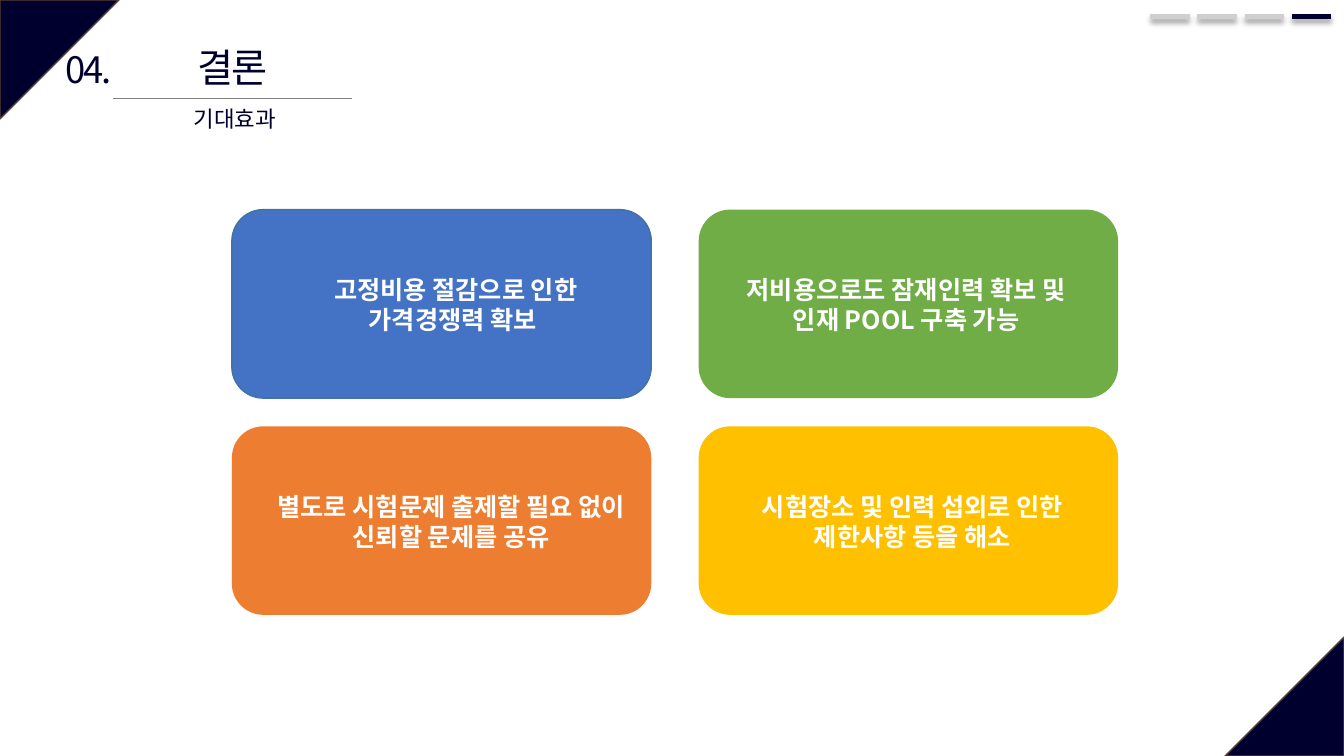
from dataclasses import dataclass

from lxml import etree
from pptx import Presentation
from pptx.dml.color import RGBColor
from pptx.enum.shapes import MSO_CONNECTOR, MSO_SHAPE
from pptx.enum.text import MSO_AUTO_SIZE, PP_ALIGN
from pptx.oxml.ns import qn
from pptx.util import Inches, Pt

TRIANGLE = MSO_SHAPE.ISOSCELES_TRIANGLE
ROUND_RECT = MSO_SHAPE.ROUNDED_RECTANGLE
STRAIGHT = MSO_CONNECTOR.STRAIGHT
CENTER = PP_ALIGN.CENTER
FIT_SHAPE = MSO_AUTO_SIZE.SHAPE_TO_FIT_TEXT


@dataclass(frozen=True)
class Theme:
    font: str = "Noto Sans CJK KR"
    navy: str = "00002F"
    corner_edge: str = "5B3F33"
    rule: str = "808080"
    idle: str = "D0CECE"
    white: str = "FFFFFF"
    blue: str = "4472C4"
    blue_edge: str = "43739E"
    green: str = "70AD47"
    orange: str = "ED7D31"
    yellow: str = "FFC000"
    title_size: float = 28
    number_size: float = 26
    subtitle_size: float = 16
    card_size: float = 18
    tight: float = -1.5


THEME = Theme()
SLIDE_W, SLIDE_H = 13.33, 7.5
CORNER = 1.18
CARD_LEFT, CARD_TOP, CARD_W, CARD_H = 2.3, 2.08, 4.16, 1.87
COL_STEP, ROW_STEP = 4.63, 2.15
STEP_COUNT, STEP_LEFT, STEP_W, STEP_PITCH, STEP_Y = 4, 11.41, 0.39, 0.467, 0.16

# column, row, fill, edge, text left, text width, lines
CARDS = [
    (0, 0, THEME.blue, THEME.blue_edge, 2.87, 3.3,
     ["고정비용 절감으로 인한", "가격경쟁력 확보 "]),
    (1, 0, THEME.green, None, 7.07, 3.89,
     ["저비용으로도 잠재인력 확보 및 ", "인재 POOL 구축 가능 "]),
    (1, 1, THEME.yellow, None, 7.15, 3.8,
     ["시험장소 및 인력 섭외로 인한", "제한사항 등을 해소"]),
    (0, 1, THEME.orange, None, 2.59, 3.77,
     ["별도로 시험문제 출제할 필요 없이 신뢰할 문제를 공유"]),
]


def rgb(color):
    return RGBColor.from_string(color)


def add_filled(s, preset, box, fill, edge=None):
    sp = s.shapes.add_shape(preset, *map(Inches, box))
    sp.shadow.inherit = False
    sp.fill.solid()
    sp.fill.fore_color.rgb = rgb(fill)
    if edge:
        sp.line.color.rgb = rgb(edge)
        sp.line.width = Pt(1)
    else:
        sp.line.fill.background()
    return sp


def add_corner(s, left, top, rotation):
    sp = add_filled(s, TRIANGLE, (left, top, CORNER, CORNER),
                    THEME.navy, THEME.corner_edge)
    sp.adjustments[0] = 0
    sp.rotation = rotation


def add_line(s, left, right, y, color, width):
    """Draw a level line and return its effect list, which is empty."""
    line = s.shapes.add_connector(
        STRAIGHT, Inches(left), Inches(y), Inches(right), Inches(y))
    line.line.color.rgb = rgb(color)
    line.line.width = Pt(width)
    return etree.SubElement(line._element.spPr, qn("a:effectLst"))


def add_drop_shadow(effects):
    shadow = etree.SubElement(effects, qn("a:outerShdw"), blurRad=str(Pt(4)),
                              dist=str(Pt(3)), dir="5400000", algn="t", rotWithShape="0")
    black = etree.SubElement(shadow, qn("a:srgbClr"), val="000000")
    etree.SubElement(black, qn("a:alpha"), val="40000")


def add_text(s, box, lines, size, color, bold=False, wrap=False, spacing=0):
    tf = s.shapes.add_textbox(*map(Inches, box)).text_frame
    tf.word_wrap = wrap
    tf.auto_size = FIT_SHAPE
    for i, line in enumerate(lines):
        p = tf.add_paragraph() if i else tf.paragraphs[0]
        p.add_run().text = line
        p.alignment = CENTER
        font = p.font
        font.name, font.size, font.bold = THEME.font, Pt(size), bold
        font.color.rgb = rgb(color)
        props = font._element
        etree.SubElement(props, qn("a:ea"), typeface=THEME.font)
        if spacing:
            props.set("spc", str(round(spacing * 100)))


def add_heading(s):
    add_line(s, 1.12, 3.49, 0.98, THEME.rule, 0.5)
    add_text(s, (1.84, 0.38, 0.94, 0.57), ["결론"], THEME.title_size,
             THEME.navy, spacing=THEME.tight)
    add_text(s, (0.52, 0.42, 0.72, 0.54), ["04."], THEME.number_size,
             THEME.navy, spacing=THEME.tight)
    add_text(s, (1.78, 0.99, 1.1, 0.37), ["기대효과"], THEME.subtitle_size, THEME.navy)


def add_progress(s, current):
    for i in range(STEP_COUNT):
        left = STEP_LEFT + i * STEP_PITCH
        color = THEME.navy if i == current else THEME.idle
        add_drop_shadow(add_line(s, left, left + STEP_W, STEP_Y, color, 3.5))


def add_card(s, col, row, fill, edge, text_left, text_w, lines):
    top = CARD_TOP + row * ROW_STEP
    add_filled(s, ROUND_RECT, (CARD_LEFT + col * COL_STEP, top, CARD_W, CARD_H), fill, edge)
    add_text(s, (text_left, top + 0.59, text_w, 0.71), lines,
             THEME.card_size, THEME.white, bold=True, wrap=True)


def main():
    prs = Presentation()
    prs.slide_width, prs.slide_height = Inches(SLIDE_W), Inches(SLIDE_H)
    s = prs.slides.add_slide(prs.slide_layouts[6])
    add_corner(s, 0, 0, 90)
    add_corner(s, SLIDE_W - CORNER, SLIDE_H - CORNER, 270)
    for card in CARDS:
        add_card(s, *card)
    add_heading(s)
    add_progress(s, current=3)
    prs.save("out.pptx")


if __name__ == "__main__":
    main()
